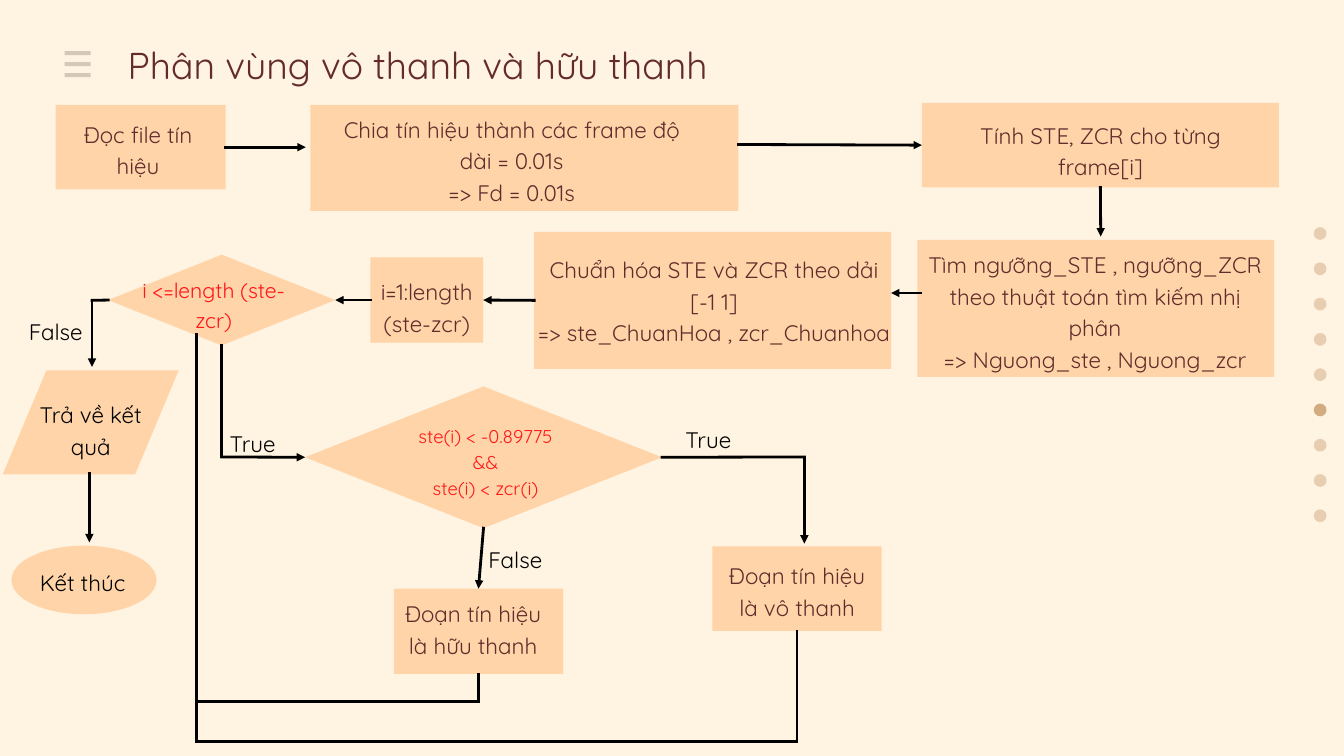
"""Build the flowchart slide that splits a signal into voiced and unvoiced parts."""
from lxml import etree
from pptx import Presentation
from pptx.dml.color import RGBColor
from pptx.enum.shapes import MSO_CONNECTOR, MSO_SHAPE
from pptx.enum.text import MSO_ANCHOR, MSO_AUTO_SIZE, PP_ALIGN
from pptx.oxml.ns import qn
from pptx.util import Inches, Pt

STRAIGHT = MSO_CONNECTOR.STRAIGHT
RECTANGLE = MSO_SHAPE.RECTANGLE
DIAMOND = MSO_SHAPE.DIAMOND
PARALLELOGRAM = MSO_SHAPE.PARALLELOGRAM
OVAL = MSO_SHAPE.OVAL
TOP, MIDDLE = MSO_ANCHOR.TOP, MSO_ANCHOR.MIDDLE
LEFT, CENTER = PP_ALIGN.LEFT, PP_ALIGN.CENTER
NO_AUTOFIT = MSO_AUTO_SIZE.NONE
UP_SIDE, LEFT_SIDE, DOWN_SIDE, RIGHT_SIDE = range(4)

FONT = "Quicksand"
COLORS = {
    "background": "FFF3E2",
    "node": "FFD4A9",
    "brown": "632B2B",
    "red": "FF1616",
    "black": "000000",
    "menu": "D4C9B8",
    "dot": "D3AB81",
}


def rgb(name):
    return RGBColor.from_string(COLORS[name])


def write_text(shape, lines, color, size=24, spacing=33.6, align=CENTER, anchor=MIDDLE,
               margins=(0, 0, 0, 0)):
    frame = shape.text_frame
    frame.word_wrap = True
    frame.auto_size = NO_AUTOFIT
    frame.vertical_anchor = anchor
    frame.margin_left, frame.margin_top, frame.margin_right, frame.margin_bottom = map(Inches, margins)
    for index, line in enumerate(lines):
        paragraph = frame.paragraphs[0] if index == 0 else frame.add_paragraph()
        paragraph.text = line
        paragraph.alignment = align
        paragraph.line_spacing = Pt(spacing)
        paragraph.font.name = FONT
        paragraph.font.size = Pt(size)
        paragraph.font.color.rgb = rgb(color)


def add_filled(slide, kind, box, color):
    shape = slide.shapes.add_shape(kind, *map(Inches, box))
    shape.shadow.inherit = False
    shape.fill.solid()
    shape.fill.fore_color.rgb = rgb(color)
    shape.line.fill.background()
    return shape


def add_node(slide, kind, box, lines, color="brown", side=0, shift=(0, 0), **text):
    shape = add_filled(slide, kind, box, "node")
    across, down = shift
    margins = (side + across, max(0, 2 * down), side - across, max(0, -2 * down))
    write_text(shape, lines, color, margins=margins, **text)
    return shape


def add_label(slide, box, text, color="black", **style):
    label = slide.shapes.add_textbox(*map(Inches, box))
    write_text(label, [text], color, anchor=TOP, **style)


def add_line(slide, start, end, source=None, target=None, arrow=False):
    connector = slide.shapes.add_connector(STRAIGHT, *map(Inches, start + end))
    if source:
        connector.begin_connect(*source)
    if target:
        connector.end_connect(*target)
    connector.line.color.rgb = rgb("black")
    connector.line.width = Pt(3)
    outline = connector.line._get_or_add_ln()
    outline.set("cap", "sq")
    if arrow:
        etree.SubElement(outline, qn("a:tailEnd"), type="triangle")
    etree.SubElement(connector._element.spPr, qn("a:effectLst"))


def add_title(slide):
    title = slide.shapes.title
    title.left, title.top, title.width, title.height = map(Inches, (1.9, 0.62, 9.48, 0.67))
    write_text(title, ["Phân vùng vô thanh và hữu thanh"], "brown", 40, 48, LEFT, TOP)


def add_decoration(slide):
    for row in range(3):
        add_filled(slide, RECTANGLE, (0.96, 0.76 + 0.165 * row, 0.39, 0.06), "menu")
    for row in range(9):
        dot = add_filled(slide, OVAL, (19.55, 3.38 + 0.525 * row, 0.19, 0.19), "dot")
        if row != 5:
            fill_color = dot._element.spPr.find(qn("a:solidFill"))[0]
            etree.SubElement(fill_color, qn("a:alpha"), val="50000")


def add_nodes(slide):
    nodes = {
        "read": add_node(slide, RECTANGLE, (0.83, 1.56, 2.53, 1.26), ["Đọc file tín hiệu"],
                         side=0.12, shift=(-0.04, 0.01)),
        "split": add_node(slide, RECTANGLE, (4.62, 1.56, 6.37, 1.58),
                          ["Chia tín hiệu thành các frame độ dài = 0.01s", "=> Fd = 0.01s"],
                          side=0.68, shift=(-0.19, 0.01)),
        "measure": add_node(slide, RECTANGLE, (13.72, 1.53, 5.31, 1.26),
                            ["Tính STE, ZCR cho từng frame[i]"], side=0.36, shift=(0, 0.05)),
        "threshold": add_node(slide, RECTANGLE, (13.65, 3.57, 5.31, 2.04),
                              ["Tìm ngưỡng_STE , ngưỡng_ZCR theo thuật toán tìm kiếm nhị phân",
                               "=> Nguong_ste , Nguong_zcr"], side=0.07, shift=(-0.01, 0.02)),
        "normalize": add_node(slide, RECTANGLE, (7.95, 3.45, 5.31, 2.04),
                              ["Chuẩn hóa STE và ZCR theo dải [-1 1]",
                               "=> ste_ChuanHoa , zcr_Chuanhoa"], side=0.02, shift=(0.02, -0.02)),
        "counter": add_node(slide, RECTANGLE, (5.51, 3.83, 1.68, 1.27),
                            ["i=1:length", "(ste-zcr)"], shift=(0, 0.08)),
        "loop": add_filled(slide, DIAMOND, (1.61, 3.79, 3.38, 1.35), "node"),
        "condition": add_node(slide, DIAMOND, (4.54, 5.75, 5.31, 2.11),
                              ["ste(i) < -0.89775", "&&", "ste(i) < zcr(i)"], "red",
                              shift=(0.03, 0.05), size=19.8, spacing=27.8),
        "voiced": add_node(slide, RECTANGLE, (5.86, 8.76, 2.52, 1.27),
                           ["Đoạn tín hiệu là hữu thanh"], side=0.1, shift=(-0.08, -0.06)),
        "unvoiced": add_node(slide, RECTANGLE, (10.6, 8.13, 2.52, 1.26),
                             ["Đoạn tín hiệu là vô thanh"], side=0.12, shift=(0, 0.01)),
    }
    result = add_node(slide, PARALLELOGRAM, (0.04, 5.51, 2.62, 1.55), ["Trả về kết quả"],
                      "black", shift=(0, 0.09))
    result.adjustments[0] = 0.42
    add_node(slide, OVAL, (0.17, 8.12, 2.16, 1.02), ["Kết thúc"], "black", shift=(-0.02, 0))
    return nodes


def add_flow(slide, nodes):
    read, measure, counter = nodes["read"], nodes["measure"], nodes["counter"]
    normalize, loop, condition = nodes["normalize"], nodes["loop"], nodes["condition"]
    voiced, unvoiced = nodes["voiced"], nodes["unvoiced"]
    arrows = [
        ((3.36, 2.19), (4.55, 2.19), (read, RIGHT_SIDE), None),
        ((10.99, 2.15), (13.72, 2.16), None, (measure, LEFT_SIDE)),
        ((16.38, 2.79), (16.38, 3.52), (measure, DOWN_SIDE), None),
        ((13.7, 4.36), (13.26, 4.36), None, None),
        ((7.95, 4.47), (7.19, 4.47), (normalize, LEFT_SIDE), (counter, RIGHT_SIDE)),
        ((5.51, 4.47), (4.99, 4.47), (counter, LEFT_SIDE), (loop, RIGHT_SIDE)),
        ((1.37, 4.47), (1.37, 5.46), None, None),
        ((1.33, 7.05), (1.33, 8.07), None, None),
        ((3.3, 6.8), (4.54, 6.8), None, (condition, LEFT_SIDE)),
        ((7.16, 7.86), (7.12, 8.76), (condition, DOWN_SIDE), (voiced, UP_SIDE)),
        ((11.97, 6.8), (11.97, 8.09), None, None),
    ]
    plain_lines = [
        ((1.61, 4.47), (1.37, 4.47), (loop, LEFT_SIDE)),
        ((3.3, 5.14), (3.3, 6.8), (loop, DOWN_SIDE)),
        ((9.85, 6.8), (11.97, 6.8), (condition, RIGHT_SIDE)),
        ((7.12, 10.03), (7.12, 10.44), (voiced, DOWN_SIDE)),
        ((7.12, 10.44), (2.92, 10.44), None),
        ((11.86, 9.39), (11.86, 11.04), (unvoiced, DOWN_SIDE)),
        ((11.86, 11.04), (2.92, 11.04), None),
        ((2.92, 4.97), (2.92, 11.04), None),
    ]
    for start, end, source, target in arrows:
        add_line(slide, start, end, source, target, arrow=True)
    for start, end, source in plain_lines:
        add_line(slide, start, end, source)


def add_labels(slide):
    add_label(slide, (2.08, 4.07, 2.2, 0.87), "i <=length (ste-zcr)", "red", size=22.6, spacing=31.7)
    for left, top, text in [(9.44, 6.27, "True"), (2.66, 6.34, "True"),
                            (6.57, 8.06, "False"), (-0.27, 4.67, "False")]:
        add_label(slide, (left, top, 2.2, 0.46), text)


def main():
    presentation = Presentation()
    presentation.slide_width, presentation.slide_height = Inches(20), Inches(11.25)
    slide = presentation.slides.add_slide(presentation.slide_layouts[5])
    slide.background.fill.solid()
    slide.background.fill.fore_color.rgb = rgb("background")
    add_title(slide)
    add_decoration(slide)
    add_flow(slide, add_nodes(slide))
    add_labels(slide)
    presentation.save("out.pptx")


if __name__ == "__main__":
    main()
